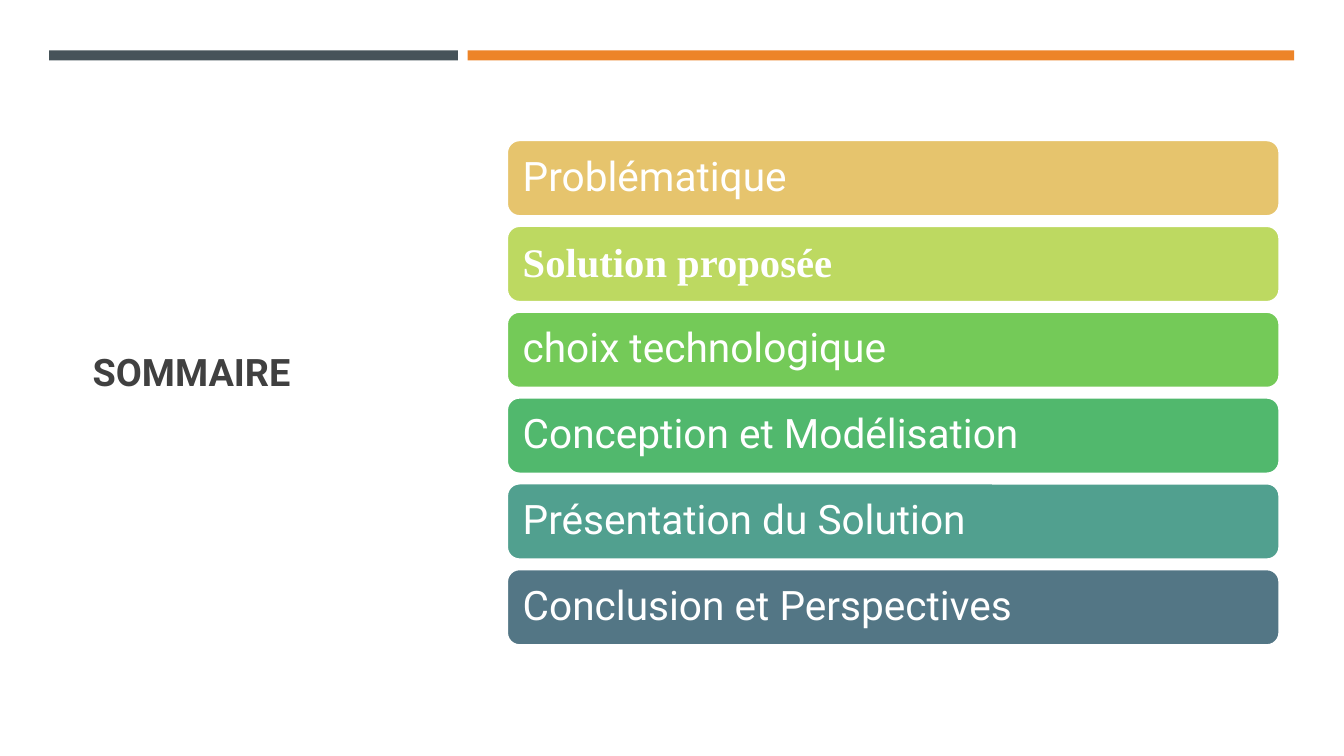
from pptx import Presentation
from pptx.dml.color import RGBColor
from pptx.enum.shapes import MSO_SHAPE as Kind
from pptx.enum.text import MSO_ANCHOR as Anchor, MSO_AUTO_SIZE as Fit, PP_ALIGN as Align
from pptx.util import Pt


def block(kind, left, top, width, height, color):
    shape = slide.shapes.add_shape(kind, Pt(left), Pt(top), Pt(width), Pt(height))
    shape.shadow.inherit = False
    shape.fill.solid()
    shape.fill.fore_color.rgb = RGBColor.from_string(color)
    shape.line.fill.background()
    return shape


def write(frame, text, font, size, color, bold):
    """Fill the frame with one left-aligned, vertically centred line."""
    frame.word_wrap = True
    frame.auto_size = Fit.NONE
    frame.vertical_anchor = Anchor.MIDDLE
    para = frame.paragraphs[0]
    para.alignment = Align.LEFT
    para.line_spacing = 0.9
    run = para.add_run()
    run.text = text
    run.font.name = font
    run.font.size = Pt(size)
    run.font.bold = bold
    run.font.color.rgb = RGBColor.from_string(color)


deck = Presentation()
deck.slide_width, deck.slide_height = Pt(960), Pt(540)
slide = deck.slides.add_slide(deck.slide_layouts[5])

title = slide.shapes.title
title.left, title.top, title.width, title.height = Pt(59), Pt(82), Pt(240.5), Pt(371)
write(title.text_frame, "SOMMAIRE", "Roboto", 27, "404040", True)

for left, width, color in [(35, 292, "465359"), (334, 590.5, "ED8428")]:
    block(Kind.RECTANGLE, left, 36, width, 7.2, color)

topics = [
    ("Problématique", "E6C46D", "Roboto", False),
    ("Solution proposée", "BDD961", "Times New Roman", True),
    ("choix technologique", "74CA58", "Roboto", False),
    ("Conception et Modélisation", "51B86D", "Roboto", False),
    ("Présentation du Solution", "51A08F", "Roboto", False),
    ("Conclusion et Perspectives", "537685", "Roboto", False),
]
for row, (text, color, font, bold) in enumerate(topics):
    bar = block(Kind.ROUNDED_RECTANGLE, 362, 100 + 61.3 * row, 552, 54.5, color)
    bar.line.color.rgb = RGBColor.from_string("FFFFFF")
    bar.line.width = Pt(1.75)
    frame = bar.text_frame
    frame.margin_left = frame.margin_right = Pt(8.7)
    write(frame, text, font, 29, "FFFFFF", bold)

deck.save("out.pptx")
